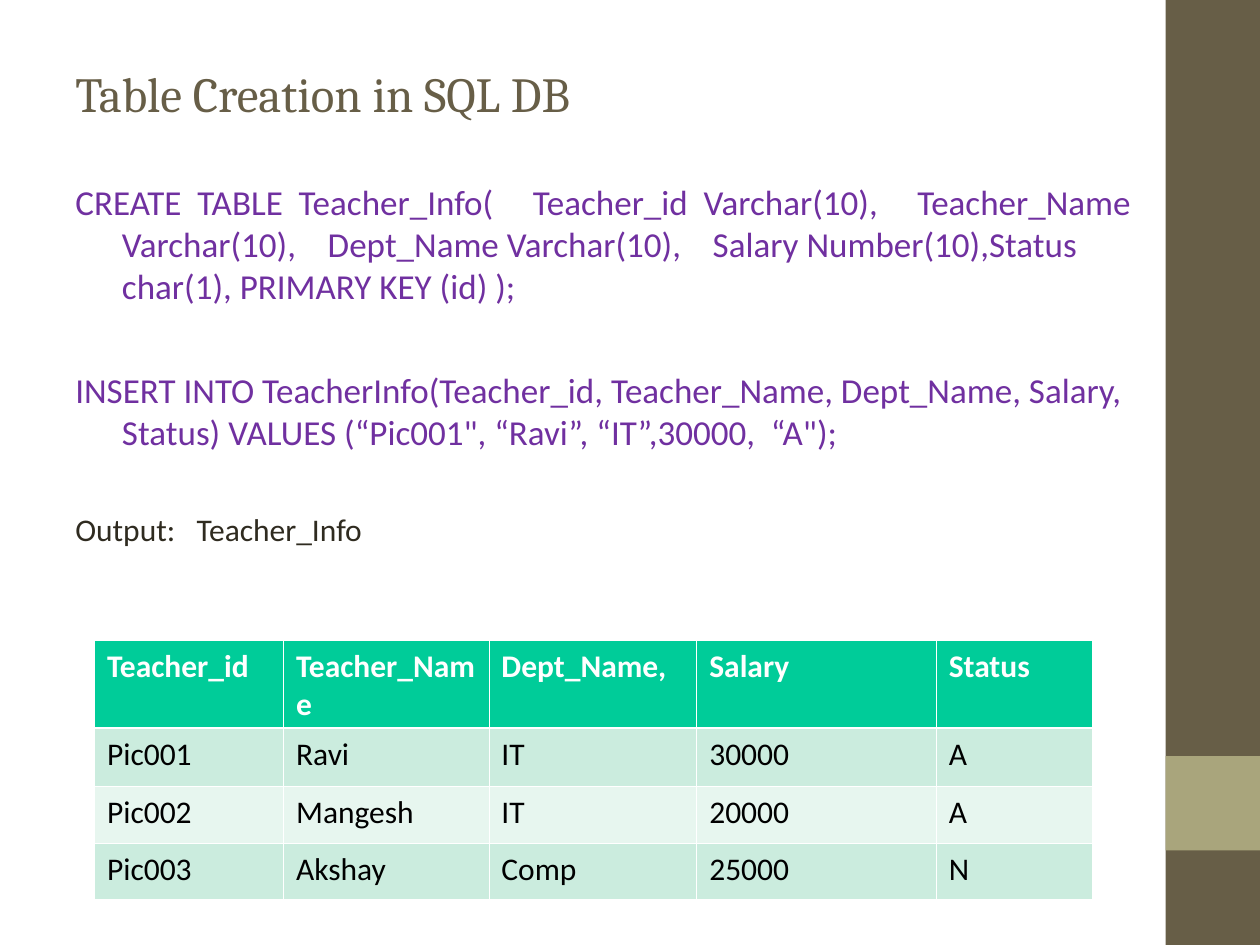
from dataclasses import dataclass

from lxml import etree
from pptx import Presentation
from pptx.dml.color import RGBColor
from pptx.enum.shapes import MSO_SHAPE
from pptx.enum.text import MSO_ANCHOR
from pptx.oxml.ns import qn
from pptx.util import Inches, Pt

RECTANGLE = MSO_SHAPE.RECTANGLE
TOP, MIDDLE = MSO_ANCHOR.TOP, MSO_ANCHOR.MIDDLE


@dataclass(frozen=True)
class Theme:
    heading_font: str = "Cambria"
    body_font: str = "Calibri"
    title_size: float = 28
    code_size: float = 20
    text_size: float = 18
    brown: str = "675E47"
    olive: str = "A9A57C"
    purple: str = "7030A0"
    dark: str = "2F2B20"
    black: str = "000000"
    white: str = "FFFFFF"
    header_fill: str = "00CC99"
    row_fills: tuple = ("CBECDE", "E7F6EF")
    thin_border: float = 0.45
    thick_border: float = 1.47


THEME = Theme()

STATEMENTS = [
    "CREATE  TABLE  Teacher_Info(     Teacher_id  Varchar(10),     Teacher_Name "
    "Varchar(10),    Dept_Name Varchar(10),    Salary Number(10),Status char(1), "
    "PRIMARY KEY (id) );",
    "INSERT INTO TeacherInfo(Teacher_id, Teacher_Name, Dept_Name, Salary, Status) "
    "VALUES (“Pic001\", “Ravi”, “IT”,30000,  “A\");",
]
OUTPUT_LABEL = "Output:   Teacher_Info"
TEACHERS = [
    ["Teacher_id", "Teacher_Name", "Dept_Name,", "Salary", "Status"],
    ["Pic001", "Ravi", "IT", "30000", "A"],
    ["Pic002", "Mangesh", "IT", "20000", "A"],
    ["Pic003", "Akshay", "Comp", "25000", "N"],
]
COLUMN_WIDTHS = [1.5, 1.63, 1.65, 1.9, 1.24]
ROW_HEIGHTS = [0.7, 0.46, 0.45, 0.45]


def write_text(paragraph, text, *, size, color, font=THEME.body_font, bold=False,
               space_before=0, line_spacing=None, hanging=0):
    run = paragraph.add_run()
    run.text = text
    run.font.name = font
    run.font.size = Pt(size)
    run.font.bold = bold
    run.font.color.rgb = RGBColor.from_string(color)
    paragraph.space_before = Pt(space_before)
    if line_spacing:
        paragraph.line_spacing = line_spacing
    if hanging:
        properties = paragraph._p.get_or_add_pPr()
        properties.set("marL", str(Inches(hanging)))
        properties.set("indent", str(-Inches(hanging)))


def add_text_frame(slide, box, anchor=TOP):
    frame = slide.shapes.add_textbox(*map(Inches, box)).text_frame
    frame.word_wrap = True
    frame.vertical_anchor = anchor
    return frame


def add_sidebar(slide, left, top, width, height):
    # The accent square sits one side length above the bottom of the bar
    accent_top = top + height - 2 * width
    for block_top, block_height, color in (
        (top, height, THEME.brown),
        (accent_top, width, THEME.olive),
    ):
        block = slide.shapes.add_shape(
            RECTANGLE, *map(Inches, (left, block_top, width, block_height)))
        block.shadow.inherit = False
        block.fill.solid()
        block.fill.fore_color.rgb = RGBColor.from_string(color)
        block.line.fill.background()


def add_title(slide, box):
    frame = add_text_frame(slide, box, MIDDLE)
    write_text(frame.paragraphs[0], "Table Creation in SQL DB",
               size=THEME.title_size, color=THEME.brown, font=THEME.heading_font)


def add_statements(slide, box):
    frame = add_text_frame(slide, box)
    frame.margin_top = Inches(0.43)
    code = {"size": THEME.code_size, "color": THEME.purple}
    label = {"size": THEME.text_size, "color": THEME.dark}
    lines = [
        (STATEMENTS[0], 0, code),
        (STATEMENTS[1], 35.4, code),
        (OUTPUT_LABEL, 33, label),
    ]
    for index, (text, gap, style) in enumerate(lines):
        paragraph = frame.add_paragraph() if index else frame.paragraphs[0]
        write_text(paragraph, text, space_before=gap, hanging=0.37, **style)


def set_borders(cell, **widths):
    properties = cell._tc.get_or_add_tcPr()
    for position, side in enumerate(("L", "R", "T", "B")):
        line = etree.Element(qn(f"a:ln{side}"))
        line.set("w", str(Pt(widths.get(side, THEME.thin_border))))
        fill = etree.SubElement(line, qn("a:solidFill"))
        etree.SubElement(fill, qn("a:srgbClr")).set("val", THEME.white)
        properties.insert(position, line)


def add_teacher_table(slide, left, top):
    size = (sum(COLUMN_WIDTHS), sum(ROW_HEIGHTS))
    table = slide.shapes.add_table(
        len(TEACHERS), len(COLUMN_WIDTHS), *map(Inches, (left, top, *size))).table
    for column, width in zip(table.columns, COLUMN_WIDTHS):
        column.width = Inches(width)
    for row_index, values in enumerate(TEACHERS):
        table.rows[row_index].height = Inches(ROW_HEIGHTS[row_index])
        is_header = row_index == 0
        fill = THEME.header_fill if is_header else THEME.row_fills[(row_index - 1) % 2]
        # The rule below the header is heavier than the others
        borders = {0: {"B": THEME.thick_border},
                   1: {"T": THEME.thick_border}}.get(row_index, {})
        for column_index, value in enumerate(values):
            cell = table.cell(row_index, column_index)
            cell.margin_top = Inches(0.06)
            cell.fill.solid()
            cell.fill.fore_color.rgb = RGBColor.from_string(fill)
            set_borders(cell, **borders)
            write_text(cell.text_frame.paragraphs[0], value, size=THEME.text_size,
                       color=THEME.white if is_header else THEME.black,
                       bold=is_header, line_spacing=0.98)


def main():
    presentation = Presentation()
    presentation.slide_width = Inches(10)
    presentation.slide_height = Inches(7.5)
    slide = presentation.slides.add_slide(presentation.slide_layouts[6])
    add_sidebar(slide, 9.25, 0, 0.75, 7.5)
    add_title(slide, (0.5, 0.3, 9, 0.87))
    add_statements(slide, (0.5, 1, 9, 6.5))
    add_teacher_table(slide, 0.75, 5.08)
    presentation.save("out.pptx")


if __name__ == "__main__":
    main()
